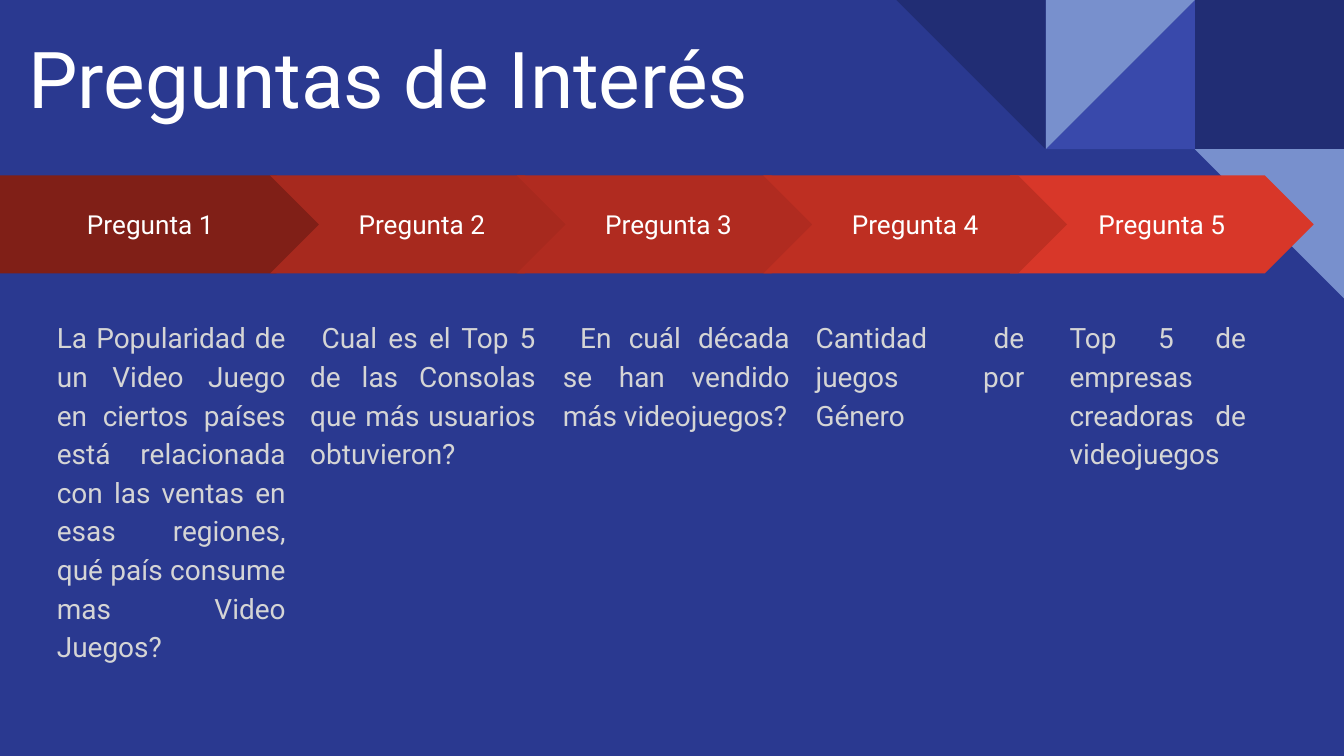
from dataclasses import dataclass

from pptx import Presentation
from pptx.dml.color import RGBColor
from pptx.enum.shapes import MSO_SHAPE
from pptx.enum.text import MSO_ANCHOR, MSO_AUTO_SIZE, PP_ALIGN
from pptx.util import Emu, Pt

RECTANGLE = MSO_SHAPE.RECTANGLE
TRIANGLE = MSO_SHAPE.RIGHT_TRIANGLE
PENTAGON = MSO_SHAPE.PENTAGON
CHEVRON = MSO_SHAPE.CHEVRON
TOP, MIDDLE = MSO_ANCHOR.TOP, MSO_ANCHOR.MIDDLE
LEFT, CENTER, JUSTIFY = PP_ALIGN.LEFT, PP_ALIGN.CENTER, PP_ALIGN.JUSTIFY
NO_AUTOFIT = MSO_AUTO_SIZE.NONE

EMU_PER_PX = 4572  # 200 px to the inch
SLIDE_WIDTH, SLIDE_HEIGHT = 2000, 1125
FONT = "Roboto"
INSET = 20
TILE = 222
ARROW_TOP, ARROW_HEIGHT = 261, 146
BODY_TOP = 450

BACKGROUND = RGBColor(0x2A, 0x39, 0x90)
NAVY = RGBColor(0x21, 0x2D, 0x74)
INDIGO = RGBColor(0x39, 0x49, 0xAB)
SKY = RGBColor(0x78, 0x90, 0xCD)
WHITE = RGBColor(0xFF, 0xFF, 0xFF)
LIGHT_GRAY = RGBColor(0xD5, 0xD5, 0xD5)


@dataclass(frozen=True)
class Tile:
    columns_from_right: int
    row: int
    kind: MSO_SHAPE
    rotation: int
    color: RGBColor


@dataclass(frozen=True)
class Question:
    number: int
    kind: MSO_SHAPE
    arrow_left: int
    arrow_width: int
    color: RGBColor
    body_left: int
    body_width: int
    body_height: int
    text: str


TILES = [
    Tile(1, 0, RECTANGLE, 0, NAVY),
    Tile(2, 0, TRIANGLE, 270, INDIGO),
    Tile(2, 0, TRIANGLE, 90, SKY),
    Tile(3, 0, TRIANGLE, 180, NAVY),
    Tile(1, 1, TRIANGLE, 180, SKY),
]

# Listed from back to front
QUESTIONS = [
    Question(1, PENTAGON, 0, 484, RGBColor(0x80, 0x1F, 0x17), 65, 380, 514,
             "La Popularidad de un Video Juego en ciertos países está relacionada "
             "con las ventas en esas regiones, qué país consume mas Video Juegos?"),
    Question(2, CHEVRON, 402, 452, RGBColor(0xA7, 0x29, 0x1E), 442, 375, 514,
             " Cual es el Top 5 de las Consolas que más usuarios obtuvieron?"),
    Question(3, CHEVRON, 769, 452, RGBColor(0xB0, 0x2B, 0x20), 818, 377, 514,
             " En cuál década se han vendido más videojuegos?"),
    Question(5, CHEVRON, 1503, 452, RGBColor(0xD8, 0x37, 0x29), 1572, 302, 514,
             "Top 5 de empresas creadoras de videojuegos"),
    Question(4, CHEVRON, 1136, 452, RGBColor(0xBE, 0x2F, 0x22), 1194, 350, 284,
             "Cantidad de juegos por Género"),
]


def px(length: int) -> Emu:
    return Emu(length * EMU_PER_PX)


def write_text(shape, text: str, size: int, color: RGBColor, alignment, anchor):
    """Fill the shape with one paragraph and return that paragraph."""
    frame = shape.text_frame
    frame.word_wrap = True
    frame.auto_size = NO_AUTOFIT
    frame.vertical_anchor = anchor
    frame.margin_left = frame.margin_right = px(INSET)
    frame.margin_top = frame.margin_bottom = px(INSET)
    paragraph = frame.paragraphs[0]
    paragraph.alignment = alignment
    run = paragraph.add_run()
    run.text = text
    run.font.name = FONT
    run.font.size = Pt(size)
    run.font.color.rgb = color
    return paragraph


def add_filled_shape(slide, kind, left: int, top: int, width: int, height: int,
                     color: RGBColor):
    shape = slide.shapes.add_shape(kind, px(left), px(top), px(width), px(height))
    shape.shadow.inherit = False
    shape.fill.solid()
    shape.fill.fore_color.rgb = color
    shape.line.fill.background()
    return shape


def add_tile(slide, tile: Tile) -> None:
    left = SLIDE_WIDTH - tile.columns_from_right * TILE
    shape = add_filled_shape(slide, tile.kind, left, tile.row * TILE, TILE, TILE,
                             tile.color)
    shape.rotation = tile.rotation


def add_question(slide, question: Question) -> None:
    arrow = add_filled_shape(slide, question.kind, question.arrow_left, ARROW_TOP,
                             question.arrow_width, ARROW_HEIGHT, question.color)
    arrow.adjustments[0] = 0.5
    write_text(arrow, f"Pregunta {question.number}", 14, WHITE, CENTER, MIDDLE)

    body = slide.shapes.add_textbox(px(question.body_left), px(BODY_TOP),
                                    px(question.body_width), px(question.body_height))
    paragraph = write_text(body, question.text, 15, LIGHT_GRAY, JUSTIFY, TOP)
    paragraph.line_spacing = 1.15
    paragraph.space_before = Pt(7)


def main() -> None:
    presentation = Presentation()
    presentation.slide_width = px(SLIDE_WIDTH)
    presentation.slide_height = px(SLIDE_HEIGHT)
    slide = presentation.slides.add_slide(presentation.slide_layouts[5])
    slide.background.fill.solid()
    slide.background.fill.fore_color.rgb = BACKGROUND

    # Corner decoration
    for tile in TILES:
        add_tile(slide, tile)

    # Title
    title = slide.shapes.title
    title.left, title.top, title.width, title.height = px(22), px(23), px(1132), px(184)
    write_text(title, "Preguntas de Interés", 42, WHITE, LEFT, MIDDLE)

    # Arrows with the question under each one
    for question in QUESTIONS:
        add_question(slide, question)

    presentation.save("out.pptx")


if __name__ == "__main__":
    main()
